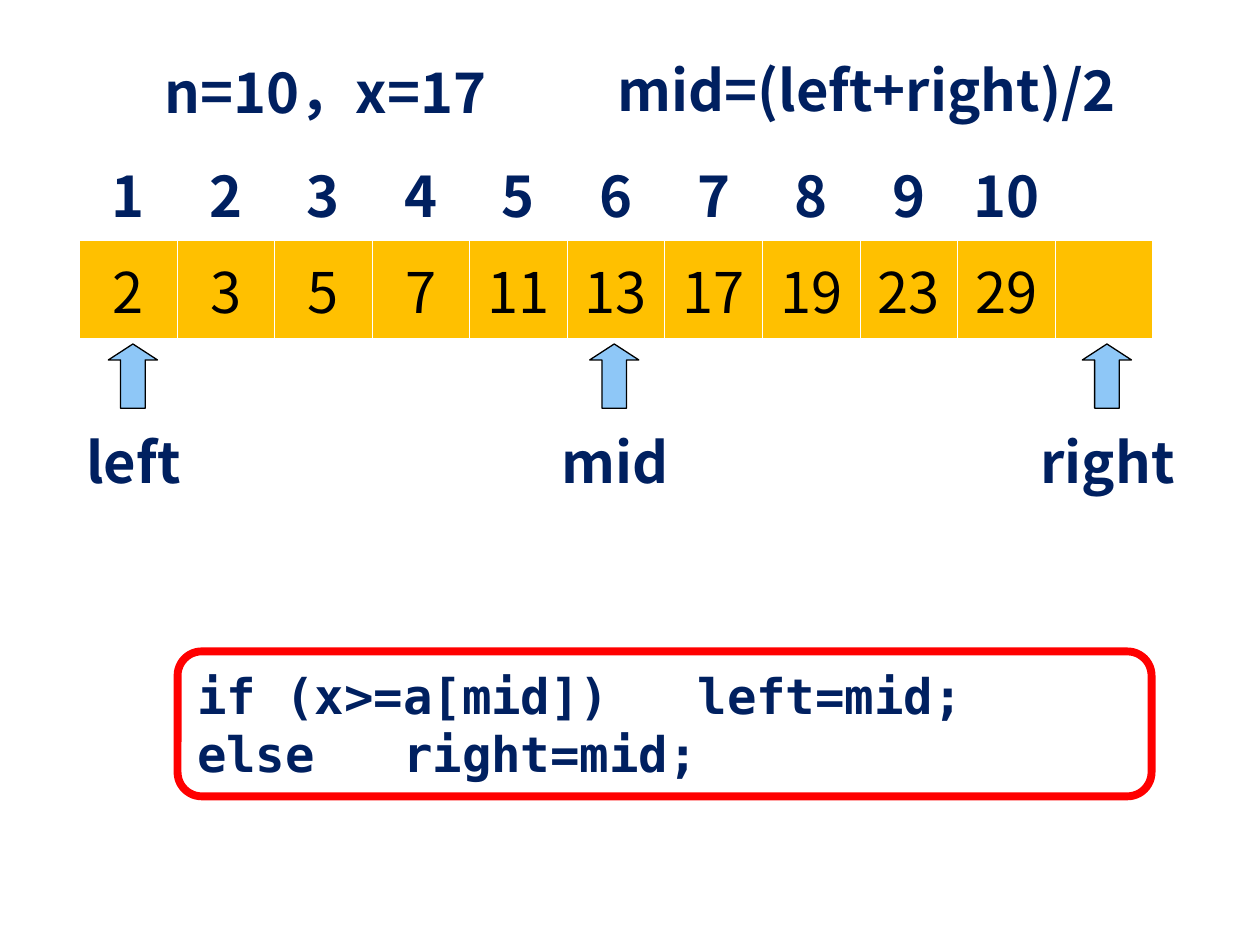
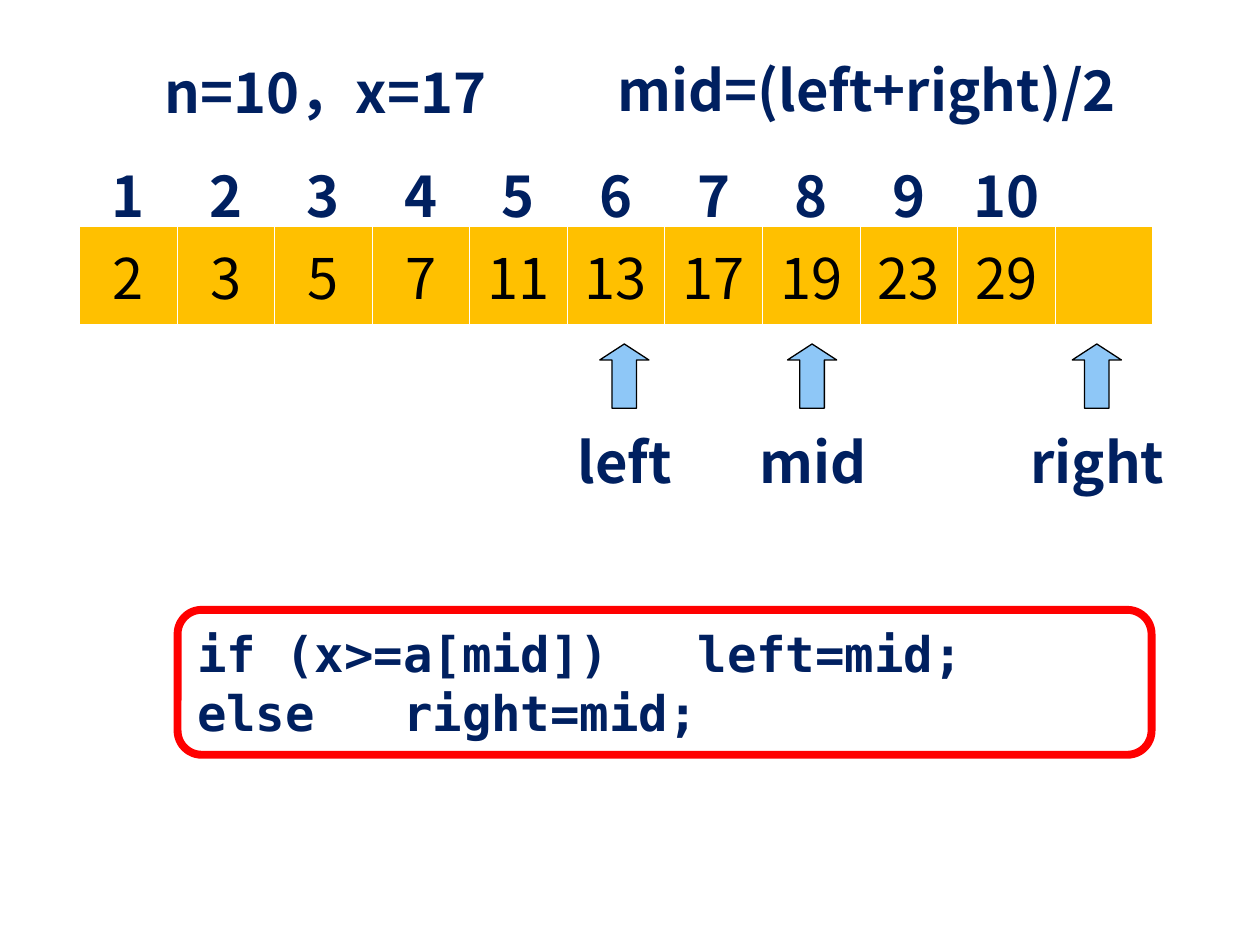
from lxml import etree
from pptx import Presentation
from pptx.dml.color import RGBColor
from pptx.enum.shapes import MSO_SHAPE
from pptx.enum.text import MSO_ANCHOR, PP_ALIGN
from pptx.oxml.ns import qn
from pptx.util import Inches, Pt

UP_ARROW = MSO_SHAPE.UP_ARROW
CODE_FRAME = MSO_SHAPE.FLOWCHART_ALTERNATE_PROCESS
MIDDLE = MSO_ANCHOR.MIDDLE
CENTER = PP_ALIGN.CENTER
LEFT = PP_ALIGN.LEFT

COLORS = {
    "navy": "002060",
    "black": "000000",
    "white": "FFFFFF",
    "gold": "FFC000",
    "sky": "8EC7F7",
    "red": "FF0000",
}
TEXT_FONT = "Noto Sans CJK SC"
COMMA_FONT = "Arial"
CODE_FONT = "DejaVu Sans Mono"

VALUES = [2, 3, 5, 7, 11, 13, 17, 19, 23, 29]
ARRAY_WIDTH = 8.52
INDEX_HEIGHT = 0.63
VALUE_HEIGHT = 0.78
THIN_BORDER = 0.45
THICK_BORDER = 1.47

CODE_LINES = ["if (x>=a[mid])   left=mid;", "else   right=mid;"]
STEPS = [
    {"markers": {"left": 1.06, "right": 8.79, "mid": 4.88}, "code_top": 5.17},
    {"markers": {"left": 4.96, "right": 8.71, "mid": 6.45}, "code_top": 4.84},
]


def color(name):
    return RGBColor.from_string(COLORS[name])


class SearchDeck:
    def __init__(self):
        self.presentation = Presentation()
        self.presentation.slide_width = Inches(10)
        self.presentation.slide_height = Inches(7.5)
        self.slide = None

    def new_slide(self):
        layout = self.presentation.slide_layouts[6]
        self.slide = self.presentation.slides.add_slide(layout)

    def format_run(self, run, font=TEXT_FONT, size=32, color_name="navy", bold=True):
        run.font.name = font
        run.font.size = Pt(size)
        run.font.bold = bold
        run.font.color.rgb = color(color_name)
        east_asian = etree.Element(qn("a:ea"), typeface=font)
        run.font._element.find(qn("a:latin")).addnext(east_asian)

    def label(self, parts, left, top, width, shapes=None):
        shapes = shapes or self.slide.shapes
        box = shapes.add_textbox(Inches(left), Inches(top), Inches(width), Inches(0.64))
        text_frame = box.text_frame
        text_frame.word_wrap = True
        text_frame.vertical_anchor = MIDDLE
        paragraph = text_frame.paragraphs[0]
        paragraph.alignment = CENTER
        for text, font in parts:
            run = paragraph.add_run()
            run.text = text
            self.format_run(run, font)

    def preset(self, shapes, kind, bounds, fill, line, weight):
        shape = shapes.add_shape(kind, *map(Inches, bounds))
        shape.shadow.inherit = False
        shape.fill.solid()
        shape.fill.fore_color.rgb = color(fill)
        shape.line.color.rgb = color(line)
        shape.line.width = Pt(weight)
        return shape

    def marker(self, name, center):
        shapes = self.slide.shapes.add_group_shape().shapes
        arrow = self.preset(shapes, UP_ARROW, (center - 0.2, 2.73, 0.39, 0.51),
                            "sky", "black", 0.75)
        arrow.adjustments[0] = 0.5
        arrow.adjustments[1] = 0.325
        self.label([(name, TEXT_FONT)], center - 0.9, 3.34, 1.8, shapes)

    def code(self, lines, top):
        frame = self.preset(self.slide.shapes, CODE_FRAME, (1.41, top, 7.73, 1.15),
                            "white", "red", 4.5)
        text_frame = frame.text_frame
        text_frame.word_wrap = True
        text_frame.vertical_anchor = MIDDLE
        text_frame.text = "\n".join(lines)
        for paragraph in text_frame.paragraphs:
            paragraph.alignment = LEFT
            self.format_run(paragraph.runs[0], CODE_FONT, 28)

    def borders(self, cell, top, bottom):
        properties = cell._tc.get_or_add_tcPr()
        widths = {"lnL": THIN_BORDER, "lnR": THIN_BORDER, "lnT": top, "lnB": bottom}
        for side, width in widths.items():
            line = etree.SubElement(properties, qn(f"a:{side}"), w=str(Pt(width)))
            fill = etree.SubElement(line, qn("a:solidFill"))
            etree.SubElement(fill, qn("a:srgbClr"), val=COLORS["white"])

    def cell(self, cell, text, is_index):
        if is_index:
            self.borders(cell, THIN_BORDER, THICK_BORDER)
            cell.fill.background()
        else:
            self.borders(cell, THICK_BORDER, THIN_BORDER)
            cell.fill.solid()
            cell.fill.fore_color.rgb = color("gold")
        cell.vertical_anchor = MIDDLE
        if text:
            cell.text_frame.text = text
            paragraph = cell.text_frame.paragraphs[0]
            paragraph.alignment = CENTER
            self.format_run(paragraph.runs[0], color_name="navy" if is_index else "black",
                            bold=is_index)

    def array(self, values):
        count = len(values) + 1
        frame = self.slide.shapes.add_table(
            2, count, Inches(0.63), Inches(1.16),
            Inches(ARRAY_WIDTH), Inches(INDEX_HEIGHT + VALUE_HEIGHT))
        table = frame.table
        table.rows[0].height = Inches(INDEX_HEIGHT)
        table.rows[1].height = Inches(VALUE_HEIGHT)
        for column in table.columns:
            column.width = Inches(ARRAY_WIDTH / count)
        indexes = [str(number) for number in range(1, count)] + [""]
        contents = [str(value) for value in values] + [""]
        for column, (index, content) in enumerate(zip(indexes, contents)):
            self.cell(table.cell(0, column), index, True)
            self.cell(table.cell(1, column), content, False)

    def search_step(self, markers, code_top):
        self.new_slide()
        self.array(VALUES)
        self.label([("n=10", TEXT_FONT), ("，", COMMA_FONT), ("x=17", TEXT_FONT)],
                   0.63, 0.4, 3.91)
        self.label([("mid=(left+right)/2", TEXT_FONT)], 4.38, 0.39, 5)
        for name, center in markers.items():
            self.marker(name, center)
        self.code(CODE_LINES, code_top)


def main():
    deck = SearchDeck()
    for step in STEPS:
        deck.search_step(**step)
    deck.presentation.save("out.pptx")


if __name__ == "__main__":
    main()
